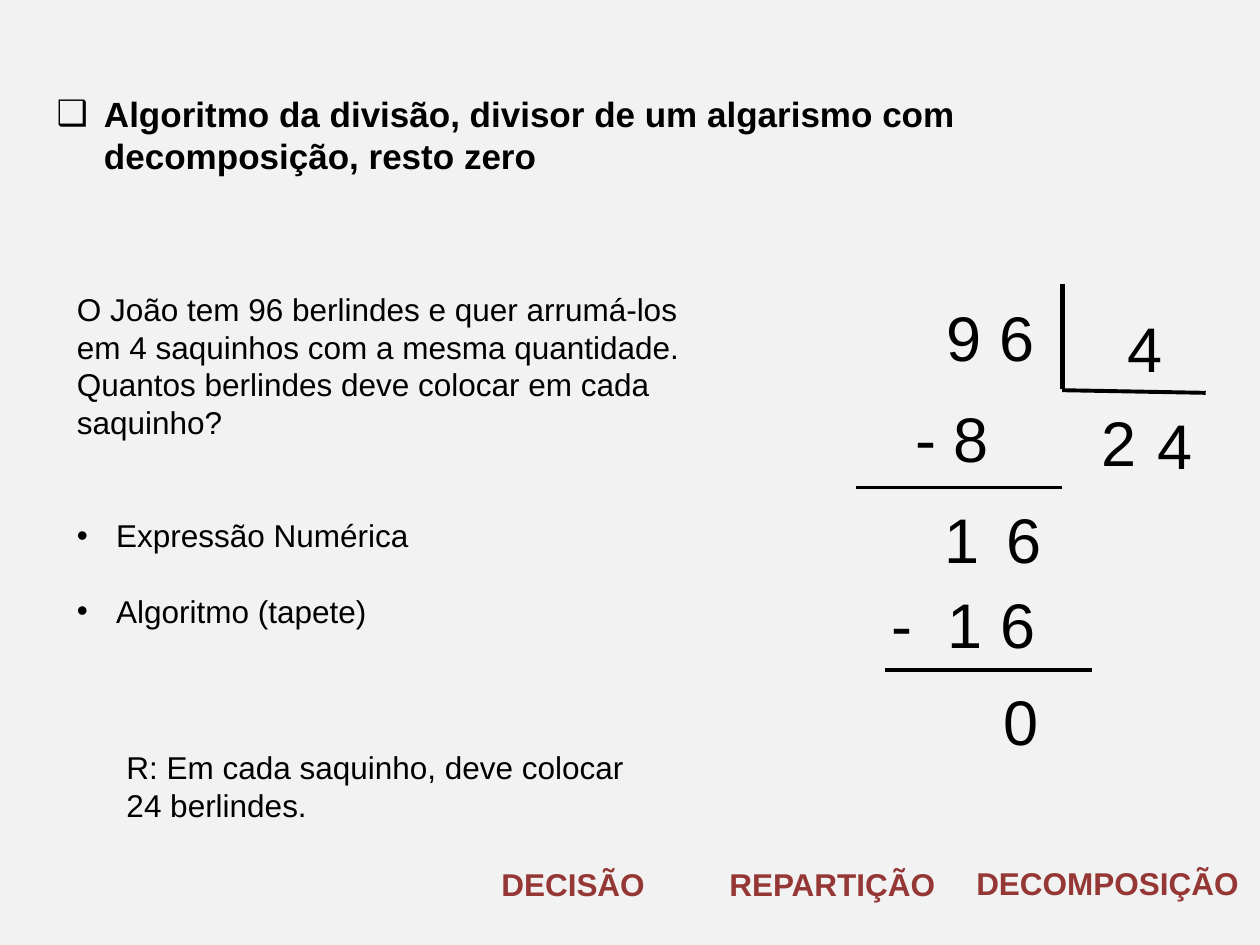
"""Build a slide that explains a division with decomposition."""
from lxml.etree import SubElement
from pptx import Presentation
from pptx.dml.color import RGBColor
from pptx.enum.shapes import MSO_CONNECTOR as Connector
from pptx.enum.text import MSO_ANCHOR as Anchor, MSO_AUTO_SIZE as AutoSize, PP_ALIGN as Align
from pptx.oxml.ns import qn
from pptx.util import Pt

BLACK = RGBColor(0x00, 0x00, 0x00)
RED = RGBColor(0x95, 0x37, 0x35)
GREY = RGBColor(0xF2, 0xF2, 0xF2)


def write(frame, text, size=18, color=BLACK, bold=False, bullet=None, indent=0, before=0):
    first = not frame.paragraphs[0].runs
    paragraph = frame.paragraphs[0] if first else frame.add_paragraph()
    properties = paragraph._p.get_or_add_pPr()
    properties.set("marL", str(Pt(indent)))
    properties.set("indent", str(-Pt(indent)))
    if bullet:
        SubElement(properties, qn("a:buFont"), typeface="Arial")
        SubElement(properties, qn("a:buChar"), char=bullet)
    else:
        SubElement(properties, qn("a:buNone"))
    paragraph.alignment = Align.LEFT
    paragraph.space_before = Pt(before)
    run = paragraph.add_run()
    run.text = text
    run.font.name = "Arial"
    run.font.size = Pt(size)
    run.font.bold = bold
    run.font.color.rgb = color


class DivisionSlide:
    def __init__(self, presentation):
        self.slide = presentation.slides.add_slide(presentation.slide_layouts[1])
        self.slide.background.fill.solid()
        self.slide.background.fill.fore_color.rgb = GREY
        self.ink = BLACK
        self.digit_size = 36

    def placeholder(self, index, left, top, width, height):
        holder = self.slide.placeholders[index]
        holder.left, holder.top = Pt(left), Pt(top)
        holder.width, holder.height = Pt(width), Pt(height)
        frame = holder.text_frame
        frame.auto_size = AutoSize.NONE
        frame.vertical_anchor = Anchor.TOP
        return frame

    def text(self, text, left, top, width, height, **style):
        box = self.slide.shapes.add_textbox(Pt(left), Pt(top), Pt(width), Pt(height))
        box.text_frame.word_wrap = True
        write(box.text_frame, text, **style)

    def digits(self, text, left, top):
        width = 20 * len(text) + 20
        self.text(text, left, top, width, 51, size=self.digit_size, color=self.ink)

    def rule(self, start, end, weight=2.25):
        line = self.slide.shapes.add_connector(
            Connector.STRAIGHT, *(Pt(value) for value in start + end))
        line.line.color.rgb = self.ink
        line.line.width = Pt(weight)
        SubElement(line._element.spPr, qn("a:effectLst"))


def main():
    presentation = Presentation()
    presentation.slide_width, presentation.slide_height = Pt(720), Pt(540)
    division = DivisionSlide(presentation)

    heading = division.placeholder(0, 25.2, 49, 635, 55.4)
    write(heading, "Algoritmo da divisão, divisor de um algarismo com decomposição, resto zero",
          size=20, bold=True, bullet="❑", indent=27)

    problem = division.placeholder(1, 36.7, 162, 373, 225.4)
    for sentence in (
        "O João tem 96 berlindes e quer arrumá-los",
        "em 4 saquinhos com a mesma quantidade.",
        "Quantos berlindes deve colocar em cada saquinho?",
    ):
        write(problem, sentence)
    for step, gap in (("Expressão Numérica", 43), ("Algoritmo (tapete)", 21.5)):
        write(problem, step, bullet="•", indent=22.5, before=gap)

    for number, left, top in (
        ("9 6", 534, 167),
        ("4", 637, 173.5),
        ("- 8", 516, 224.6),
        ("2", 622.5, 226.8),
        ("4", 654.5, 229),
        ("1", 532.5, 282.2),
        ("6", 568.3, 282.2),
        ("-", 502.5, 331.2),
        ("1 6", 534.5, 331.2),
        ("0", 566.3, 386.6),
    ):
        division.digits(number, left, top)

    division.rule((607, 162), (607, 222.5), weight=3)
    division.rule((607, 223), (689, 224.5))
    for left, top in ((489, 278.6), (506, 383)):
        division.rule((left, top), (left + 118, top))

    division.text("R: Em cada saquinho, deve colocar 24 berlindes.", 65.2, 424, 317.5, 51)
    for meaning, left, top, width in (
        ("DECISÃO", 279.4, 491, 127.4),
        ("REPARTIÇÃO", 409.7, 491, 141),
        ("DECOMPOSIÇÃO", 550.8, 490.3, 172),
    ):
        division.text(meaning, left, top, width, 29, color=RED, bold=True)

    presentation.save("out.pptx")


if __name__ == "__main__":
    main()
